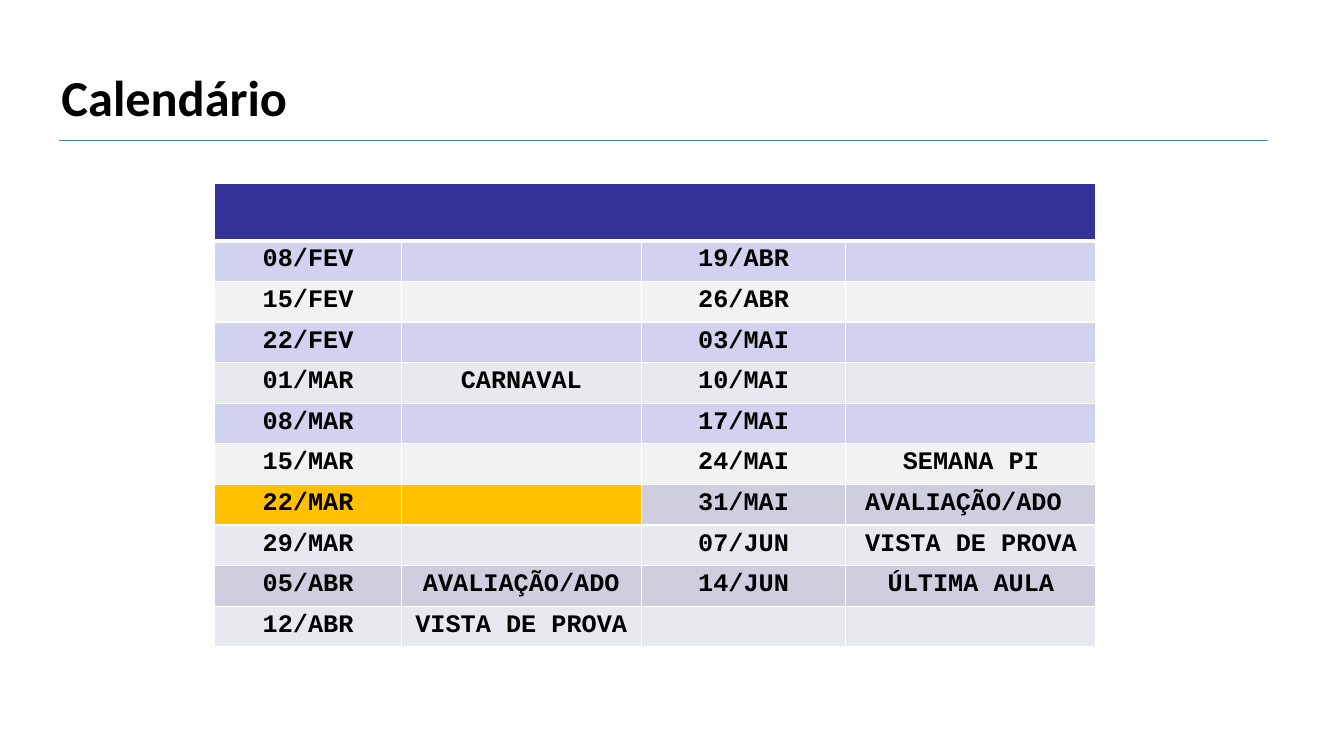
from dataclasses import dataclass

from lxml.etree import SubElement
from pptx import Presentation
from pptx.dml.color import RGBColor as RGB
from pptx.enum.shapes import MSO_CONNECTOR as CONN
from pptx.enum.text import MSO_ANCHOR as ANCHOR, PP_ALIGN as ALIGN
from pptx.oxml.ns import qn
from pptx.util import Inches, Pt


@dataclass(frozen=True)
class Theme:
    title_font: str = "Calibri"
    table_font: str = "Courier New"
    title_size: int = 36
    table_size: int = 18
    text: str = "000000"
    rule: str = "4A7DBA"
    border: str = "FFFFFF"
    header: str = "333399"
    lilac: str = "D1D1F0"
    light: str = "F2F2F2"
    pale: str = "E8E8EF"
    gray: str = "CECEDE"
    amber: str = "FFC000"


THEME = Theme()

# Fill of the left pair of cells, fill of the right pair, then the four texts.
CALENDAR = [
    (THEME.lilac, THEME.lilac, "08/FEV", "", "19/ABR", ""),
    (THEME.light, THEME.light, "15/FEV", "", "26/ABR", ""),
    (THEME.lilac, THEME.lilac, "22/FEV", "", "03/MAI", ""),
    (THEME.pale, THEME.pale, "01/MAR", "CARNAVAL", "10/MAI", ""),
    (THEME.lilac, THEME.lilac, "08/MAR", "", "17/MAI", ""),
    (THEME.light, THEME.light, "15/MAR", "", "24/MAI", "SEMANA PI"),
    (THEME.amber, THEME.gray, "22/MAR", "", "31/MAI", "AVALIAÇÃO/ADO "),
    (THEME.pale, THEME.pale, "29/MAR", "", "07/JUN", "VISTA DE PROVA"),
    (THEME.gray, THEME.gray, "05/ABR", "AVALIAÇÃO/ADO", "14/JUN", "ÚLTIMA AULA"),
    (THEME.pale, THEME.pale, "12/ABR", "VISTA DE PROVA", "", ""),
]
COLUMN_WIDTHS = [1.85, 2.38, 2.03, 2.48]
TABLE_HEIGHT, HEADER_HEIGHT = 4.6, 0.57


def write(tf, text, *, font, size, color, bold=True, align=ALIGN.LEFT):
    p = tf.paragraphs[0]
    p.alignment = align
    r = p.add_run()
    r.text = text
    r.font.name, r.font.size, r.font.bold = font, Pt(size), bold
    r.font.color.rgb = RGB.from_string(color)


def format_cell(cell, fill, border, bottom=1):
    """Set borders before the fill, in the order that the schema asks for."""
    tc_pr = cell._tc.get_or_add_tcPr()
    for side, width in (("L", 1), ("R", 1), ("T", 1), ("B", bottom)):
        ln = SubElement(tc_pr, qn(f"a:ln{side}"), w=str(Pt(width)))
        SubElement(SubElement(ln, qn("a:solidFill")), qn("a:srgbClr"), val=border)
    cell.fill.solid()
    cell.fill.fore_color.rgb = RGB.from_string(fill)


class SlideBuilder:
    def __init__(self, prs, theme):
        self.theme = theme
        self.s = prs.slides.add_slide(prs.slide_layouts[5])

    def title(self, text, left, top, width, height):
        sp = self.s.shapes.title
        sp.left, sp.top = Inches(left), Inches(top)
        sp.width, sp.height = Inches(width), Inches(height)
        sp.text_frame.vertical_anchor = ANCHOR.MIDDLE
        write(sp.text_frame, text, font=self.theme.title_font,
              size=self.theme.title_size, color=self.theme.text)

    def rule(self, left, right, y):
        line = self.s.shapes.add_connector(
            CONN.STRAIGHT, Inches(left), Inches(y), Inches(right), Inches(y))
        line.line.color.rgb = RGB.from_string(self.theme.rule)
        line.line.width = Pt(0.75)
        SubElement(line._element.spPr, qn("a:effectLst"))

    def calendar(self, left, top, rows):
        t = self.theme
        table = self.s.shapes.add_table(
            len(rows) + 1, len(COLUMN_WIDTHS), Inches(left), Inches(top),
            Inches(sum(COLUMN_WIDTHS)), Inches(TABLE_HEIGHT)).table
        for column, width in zip(table.columns, COLUMN_WIDTHS):
            column.width = Inches(width)
        for row in table.rows:
            row.height = Inches((TABLE_HEIGHT - HEADER_HEIGHT) / len(rows))
        table.rows[0].height = Inches(HEADER_HEIGHT)

        for cell in table.rows[0].cells:
            format_cell(cell, t.header, t.border, bottom=3)
        table.cell(0, 0).merge(table.cell(0, len(COLUMN_WIDTHS) - 1))

        for i, (left_fill, right_fill, *texts) in enumerate(rows, 1):
            fills = [left_fill] * 2 + [right_fill] * 2
            for j, (fill, text) in enumerate(zip(fills, texts)):
                cell = table.cell(i, j)
                format_cell(cell, fill, t.border)
                if text:
                    write(cell.text_frame, text, font=t.table_font,
                          size=t.table_size, color=t.text, align=ALIGN.CENTER)
                else:
                    # Keeps an empty line from stretching the row.
                    cell.margin_top = cell.margin_bottom = 0


def main():
    prs = Presentation()
    prs.slide_width, prs.slide_height = Inches(13.33), Inches(7.5)
    slide = SlideBuilder(prs, THEME)
    slide.title("Calendário", 0.51, 0.6, 8.99, 0.71)
    slide.rule(0.59, 12.58, 1.39)
    slide.calendar(2.13, 1.82, CALENDAR)
    prs.save("out.pptx")


if __name__ == "__main__":
    main()
